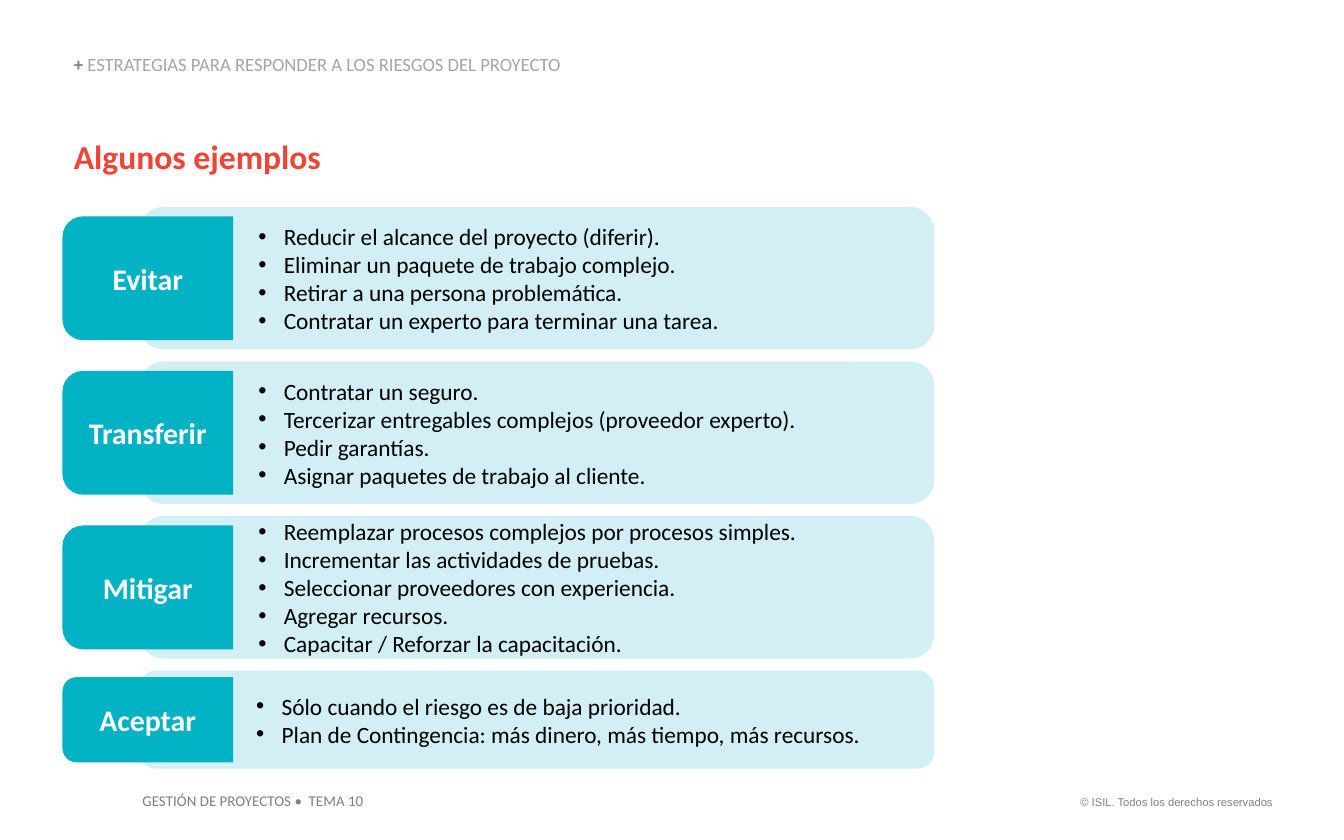
import pptx
import pptx.dml.color
import pptx.enum.shapes
import pptx.enum.text
import pptx.oxml.ns
import pptx.util
from lxml import etree

CELL = 0.1
TEAL = "00B2C4"
PALE_TEAL = "D1EFF4"
RED = "EF4539"
GRAY = "7F7F7F"
LIGHT_GRAY = "A5A5A5"
BLACK = "000000"
WHITE = "FFFFFF"

ALIGN = pptx.enum.text.PP_ALIGN
ANCHOR = pptx.enum.text.MSO_ANCHOR
SHAPE = pptx.enum.shapes.MSO_SHAPE

STRATEGIES = [
    ("Evitar", 10.6, [
        "Reducir el alcance del proyecto (diferir).",
        "Eliminar un paquete de trabajo complejo.",
        "Retirar a una persona problemática.",
        "Contratar un experto para terminar una tarea.",
    ]),
    ("Transferir", 10.6, [
        "Contratar un seguro.",
        "Tercerizar entregables complejos (proveedor experto).",
        "Pedir garantías.",
        "Asignar paquetes de trabajo al cliente.",
    ]),
    ("Mitigar", 10.6, [
        "Reemplazar procesos complejos por procesos simples.",
        "Incrementar las actividades de pruebas.",
        "Seleccionar proveedores con experiencia.",
        "Agregar recursos.",
        "Capacitar / Reforzar la capacitación.",
    ]),
    ("Aceptar", 7.3, [
        "Sólo cuando el riesgo es de baja prioridad.",
        "Plan de Contingencia: más dinero, más tiempo, más recursos.",
    ]),
]


def color(value):
    return pptx.dml.color.RGBColor.from_string(value)


def cells(count):
    return pptx.util.Inches(count * CELL)


class SlideBuilder:
    def __init__(self, presentation, font="Calibri"):
        self.font = font
        self.slide = presentation.slides.add_slide(presentation.slide_layouts[5])

    def frame(self, shape, anchor=ANCHOR.TOP, left=0, right=0):
        frame = shape.text_frame
        frame.word_wrap = True
        frame.auto_size = pptx.enum.text.MSO_AUTO_SIZE.NONE
        frame.vertical_anchor = anchor
        frame.margin_left, frame.margin_right = cells(left), cells(right)
        frame.margin_top = frame.margin_bottom = 0
        return frame

    def run(self, paragraph, text, size, fill, bold=False, font=None):
        run = paragraph.add_run()
        run.text = text
        run.font.name = font or self.font
        run.font.size = pptx.util.Pt(size)
        run.font.bold = bold
        run.font.color.rgb = color(fill)

    def title(self, text, column, row, columns, rows):
        title = self.slide.shapes.title
        title.left, title.top = cells(column), cells(row)
        title.width, title.height = cells(columns), cells(rows)
        paragraph = self.frame(title).paragraphs[0]
        paragraph.alignment = ALIGN.LEFT
        self.run(paragraph, text, 18, RED, True)

    def text(self, column, row, columns, rows, align=ALIGN.LEFT, anchor=ANCHOR.TOP):
        box = self.slide.shapes.add_textbox(
            cells(column), cells(row), cells(columns), cells(rows))
        paragraph = self.frame(box, anchor).paragraphs[0]
        paragraph.alignment = align
        return paragraph

    def shape(self, kind, column, row, columns, rows, fill):
        shape = self.slide.shapes.add_shape(
            kind, cells(column), cells(row), cells(columns), cells(rows))
        shape.shadow.inherit = False
        shape.fill.solid()
        shape.fill.fore_color.rgb = color(fill)
        shape.line.fill.background()
        shape.adjustments[0] = 0.167
        return shape

    def bullet(self, paragraph):
        properties = paragraph._p.get_or_add_pPr()
        properties.set("marL", str(cells(1.9)))
        properties.set("indent", str(-cells(1.9)))
        tag = pptx.oxml.ns.qn
        bullet_color = etree.SubElement(properties, tag("a:buClr"))
        etree.SubElement(bullet_color, tag("a:srgbClr"), val=BLACK)
        etree.SubElement(properties, tag("a:buFont"), typeface="Arial")
        etree.SubElement(properties, tag("a:buChar"), char="•")

    def card(self, row, rows, items):
        card = self.shape(SHAPE.ROUNDED_RECTANGLE, 10.4, row, 59.1, rows, PALE_TEAL)
        frame = self.frame(card, ANCHOR.MIDDLE, 8.3, 1.6)
        for index, item in enumerate(items):
            paragraph = frame.add_paragraph() if index else frame.paragraphs[0]
            paragraph.alignment = ALIGN.LEFT
            self.bullet(paragraph)
            self.run(paragraph, item, 12.5, BLACK)

    def tab(self, name, row, rows):
        center_column, center_row = 11, row + rows / 2
        length, thickness = 12.7, rows * 0.87
        tab = self.shape(
            SHAPE.ROUND_2_SAME_RECTANGLE, center_column - thickness / 2,
            center_row - length / 2, thickness, length, TEAL)
        tab.rotation = 270
        label = self.text(center_column - length / 2, center_row - 2, length, 4,
                          ALIGN.CENTER, ANCHOR.MIDDLE)
        self.run(label, name, 16, WHITE, True)


def main():
    presentation = pptx.Presentation()
    presentation.slide_width = pptx.util.Inches(10)
    presentation.slide_height = pptx.util.Inches(6.25)
    builder = SlideBuilder(presentation)

    copyright_line = builder.text(79.1, 59.2, 15.6, 1, ALIGN.RIGHT)
    builder.run(copyright_line, "© ISIL. Todos los derechos reservados", 6, GRAY, font="Arial")
    course = builder.text(10.6, 58.9, 18, 1.4)
    builder.run(course, "GESTIÓN DE PROYECTOS •  TEMA 10", 8, GRAY)
    section = builder.text(5.5, 4.1, 51.9, 1.5, anchor=ANCHOR.BOTTOM)
    section.line_spacing = 0.9
    builder.run(section, "+ ", 10, GRAY, True)
    builder.run(section, "ESTRATEGIAS PARA RESPONDER A LOS RIESGOS DEL PROYECTO", 10, LIGHT_GRAY)
    builder.title("Algunos ejemplos", 5.5, 10.1, 50, 3)

    row = 15.4
    for name, rows, items in STRATEGIES:
        builder.card(row, rows, items)
        builder.tab(name, row, rows)
        row += rows + 0.9

    presentation.save("out.pptx")


if __name__ == "__main__":
    main()
